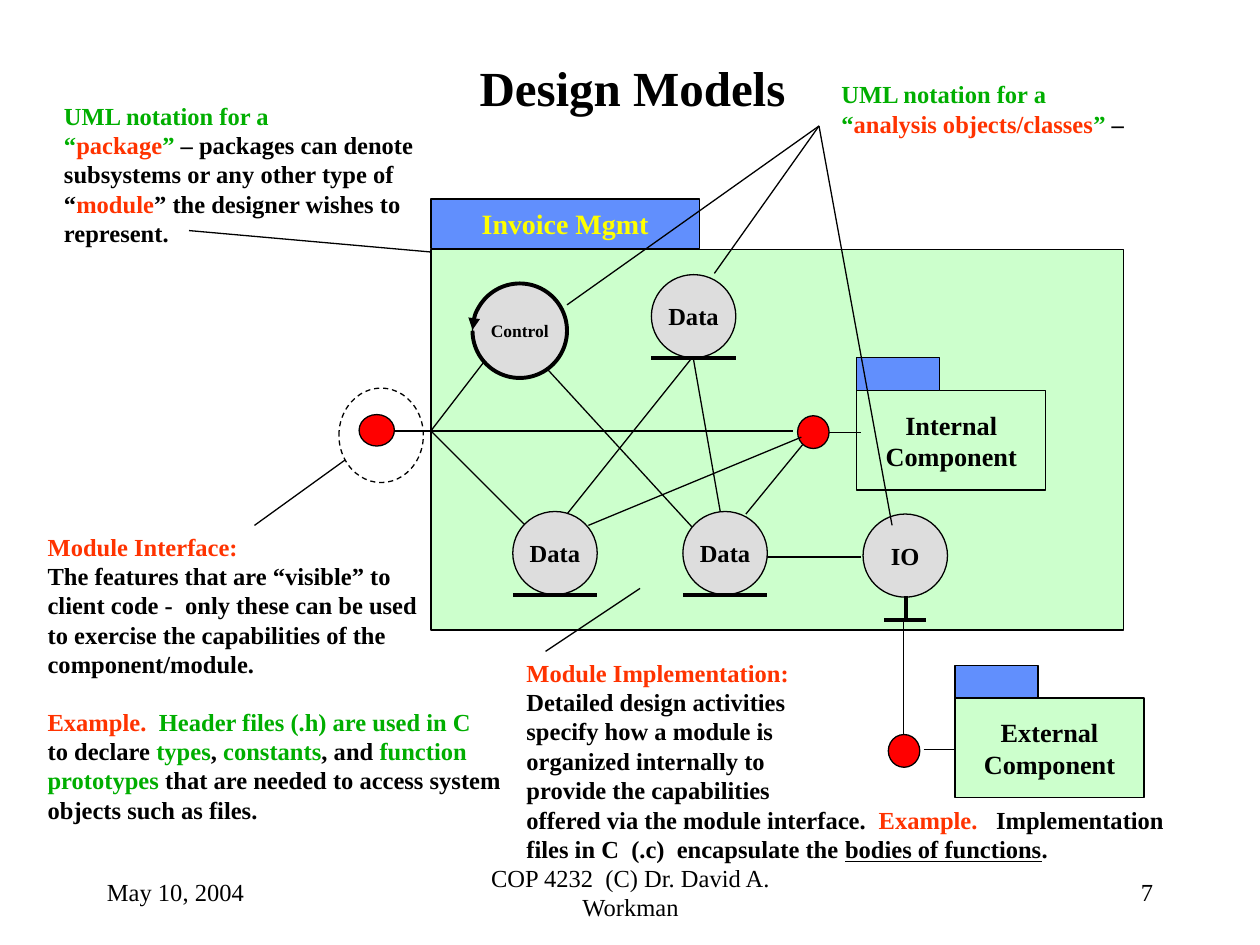
from lxml.etree import SubElement
from pptx import Presentation
from pptx.dml.color import RGBColor
from pptx.enum.dml import MSO_LINE
from pptx.enum.shapes import MSO_CONNECTOR, MSO_SHAPE
from pptx.enum.text import MSO_ANCHOR, MSO_AUTO_SIZE, PP_ALIGN
from pptx.oxml.ns import qn
from pptx.util import Inches, Pt

FONT = "Times New Roman"
BLACK = RGBColor(0x00, 0x00, 0x00)
RED = RGBColor(0xFF, 0x00, 0x00)
ORANGE = RGBColor(0xFF, 0x33, 0x00)
GREEN = RGBColor(0x00, 0xAE, 0x00)
YELLOW = RGBColor(0xFF, 0xFF, 0x00)
BLUE = RGBColor(0x61, 0x8F, 0xFD)
MINT = RGBColor(0xCC, 0xFF, 0xCC)
GREY = RGBColor(0xDD, 0xDD, 0xDD)
THIN, THICK = 0.75, 2.25
LINE_GAP = 16  # one 14 pt line, in points
CIRCLE_WIDTH, CIRCLE_HEIGHT = 0.67, 0.66

# Notes: box, then paragraphs of (text, colour) runs; \n is a line break
NOTES = [
    ((0.41, 0.75, 3.1, 1.27), [
        [("UML notation for a", GREEN)],
        [("“", GREEN), ("package", ORANGE), ("”", GREEN),
         (" – packages can denote\nsubsystems or any other type of\n“", BLACK),
         ("module", ORANGE), ("” the designer wishes to\nrepresent.", BLACK)],
    ]),
    ((6.58, 0.58, 2.6, 0.57), [
        [("UML notation for a", GREEN)],
        [("“", GREEN), ("analysis objects/classes", ORANGE), ("”", GREEN), (" –", BLACK)],
    ]),
    ((0.28, 4.17, 3.9, 2.44), [
        [("Module Interface:", ORANGE)],
        [("The features that are “visible” to\nclient code -  only these can be used\n"
          "to exercise the capabilities of the\ncomponent/module.", BLACK)],
        [("Example.  ", ORANGE), ("Header files (.h) are used in C\n", GREEN),
         ("to declare ", BLACK), ("types", GREEN), (", ", BLACK), ("constants", GREEN),
         (", and ", BLACK), ("function\nprototypes", GREEN),
         (" that are needed to access system\nobjects such as files.", BLACK)],
    ]),
    ((4.08, 5.17, 5.4, 1.74), [
        [("Module Implementation:\n", ORANGE),
         ("Detailed design activities\nspecify how a module is\norganized internally to\n"
          "provide the capabilities\noffered via the module interface.  ", BLACK),
         ("Example.", ORANGE),
         ("   Implementation\nfiles in C  (.c)  encapsulate the ", BLACK),
         ("bodies of functions", BLACK, True), (".", BLACK)],
    ]),
]
FOOTERS = [
    ((0.75, 6.83, 2.08, 0.5), "May 10, 2004", PP_ALIGN.LEFT),
    ((3.42, 6.83, 3.17, 0.5), "COP 4232  (C) Dr. David A. Workman", PP_ALIGN.CENTER),
    ((7.17, 6.83, 2.08, 0.5), "7", PP_ALIGN.RIGHT),
]
COMPONENTS = [("Internal", 6.8, 3.1), ("External", 7.58, 5.54)]
PORTS = [(2.85, 3.29, 0.28, 0.25), (6.33, 3.3, 0.25, 0.26), (7.05, 5.83, 0.25, 0.26)]
DATA_OBJECTS = [(5.17, 2.18), (5.42, 4.06), (4.07, 4.06)]
IO_OBJECT = (6.85, 4.08)
CONTROL_BOX = (3.75, 2.25, 0.75, 0.75)

GATE, TOP_DATA, ANALYSIS = (3.42, 3.42), (5.5, 2.83), (6.5, 1)
ASSOCIATIONS = [
    ((3.13, 3.42), GATE), ((6.58, 3.43), (6.83, 3.43)), ((7.33, 5.95), (7.58, 5.95)),
    (GATE, (3.92, 2.77)), (GATE, (6.29, 3.42)), (GATE, (4.17, 4.17)),
    ((5.92, 4.08), (6.37, 3.53)), ((4.28, 2.86), (5.49, 4.18)),
    (TOP_DATA, (4.5, 4.08)), (TOP_DATA, (5.72, 4.08)),
    ((6, 4.42), (6.83, 4.42)), ((4.67, 4.17), (6.36, 3.47)),
    ((7.17, 4.92), (7.17, 5.83)),
]
POINTERS = [
    ((2.02, 4.17), (2.74, 3.65)), ((1.5, 1.83), (3.42, 2)), ((5.08, 4.67), (4.33, 5.17)),
    (ANALYSIS, (4.5, 2.42)), (ANALYSIS, (5.67, 2.17)), (ANALYSIS, (7.08, 4.17)),
]

presentation = Presentation()
presentation.slide_width, presentation.slide_height = Inches(10), Inches(7.5)
slide = presentation.slides.add_slide(presentation.slide_layouts[6])


def write(shape, paragraphs, size=14, bold=True, align=PP_ALIGN.LEFT,
          anchor=MSO_ANCHOR.MIDDLE, wrap=False):
    frame = shape.text_frame
    frame.word_wrap, frame.vertical_anchor = wrap, anchor
    for index, runs in enumerate(paragraphs):
        paragraph = frame.add_paragraph() if index else frame.paragraphs[0]
        paragraph.alignment = align
        for text, color, *underline in runs:
            for number, part in enumerate(text.split("\n")):
                if number:
                    paragraph.add_line_break()
                if part:
                    run = paragraph.add_run()
                    run.text = part
                    run.font.name, run.font.size, run.font.bold = FONT, Pt(size), bold
                    run.font.color.rgb = color
                    if underline:
                        run.font.underline = True
    return frame


def add_text(box, paragraphs, **style):
    return write(slide.shapes.add_textbox(*map(Inches, box)), paragraphs, **style)


def add_shape(kind, box, fill=None, labels=(), size=14, color=BLACK, width=THIN):
    shape = slide.shapes.add_shape(kind, *map(Inches, box))
    shape.shadow.inherit = False
    if fill is None:
        shape.fill.background()
    else:
        shape.fill.solid()
        shape.fill.fore_color.rgb = fill
    shape.line.color.rgb, shape.line.width = BLACK, Pt(width)
    write(shape, [[(label, color)] for label in labels], size, align=PP_ALIGN.CENTER)
    return shape


def add_line(start, end, width=THIN):
    line = slide.shapes.add_connector(MSO_CONNECTOR.STRAIGHT, *map(Inches, (*start, *end)))
    line.line.color.rgb, line.line.width = BLACK, Pt(width)
    SubElement(line._element.spPr, qn("a:effectLst"))


def add_object(left, top, label):
    add_shape(MSO_SHAPE.OVAL, (left, top, CIRCLE_WIDTH, CIRCLE_HEIGHT), GREY, [label])


# Package with its tab
add_shape(MSO_SHAPE.RECTANGLE, (3.42, 1.98, 5.5, 3.02), MINT)
add_shape(MSO_SHAPE.RECTANGLE, (3.42, 1.58, 2.13, 0.39), BLUE, ["Invoice Mgmt"], 16, YELLOW)

# Components, ports and the ring around the interface
for name, left, top in COMPONENTS:
    add_shape(MSO_SHAPE.RECTANGLE, (left, top, 1.5, 0.79), MINT, [name, "Component"], 15)
    add_shape(MSO_SHAPE.RECTANGLE, (left, top - 0.26, 0.66, 0.26), BLUE)
for box in PORTS:
    add_shape(MSO_SHAPE.OVAL, box, RED)
ring = add_shape(MSO_SHAPE.OVAL, (2.69, 3.08, 0.67, 0.75))
ring.line.dash_style = MSO_LINE.DASH

for start, end in ASSOCIATIONS:
    add_line(start, end)

# Data objects stand on a bar, the IO object on a T
for left, top in DATA_OBJECTS:
    add_object(left, top, "Data")
    base = top + CIRCLE_HEIGHT
    add_line((left, base), (left + CIRCLE_WIDTH, base), THICK)
add_object(*IO_OBJECT, "IO")
add_line((7.19, 4.73), (7.19, 4.92), THICK)
add_line((7.02, 4.92), (7.35, 4.92), THICK)

# Control object: circle with an almost closed arrow around it
add_shape(MSO_SHAPE.OVAL, CONTROL_BOX, GREY, ["Control"], 10)
arc = add_shape(MSO_SHAPE.ARC, CONTROL_BOX, width=THICK)
arc.adjustments[0], arc.adjustments[1] = 108.6, 108  # 181 and 180 degrees
SubElement(arc.line._get_or_add_ln(), qn("a:headEnd"), type="triangle")

for start, end in POINTERS:
    add_line(start, end)

# Title, notes and footers
add_text((0.77, 0.4, 8.5, 0.58), [[("Design Models", BLACK)]], size=28,
         align=PP_ALIGN.CENTER, wrap=True)
for box, paragraphs in NOTES:
    # The boxes leave spare width, so only the written breaks end a line
    frame = add_text(box, paragraphs, anchor=MSO_ANCHOR.TOP, wrap=True)
    frame.auto_size = MSO_AUTO_SIZE.NONE
    for paragraph in frame.paragraphs[2:]:
        paragraph.space_before = Pt(LINE_GAP)
for box, text, align in FOOTERS:
    add_text(box, [[(text, BLACK)]], bold=False, align=align, wrap=True)

presentation.save("out.pptx")
